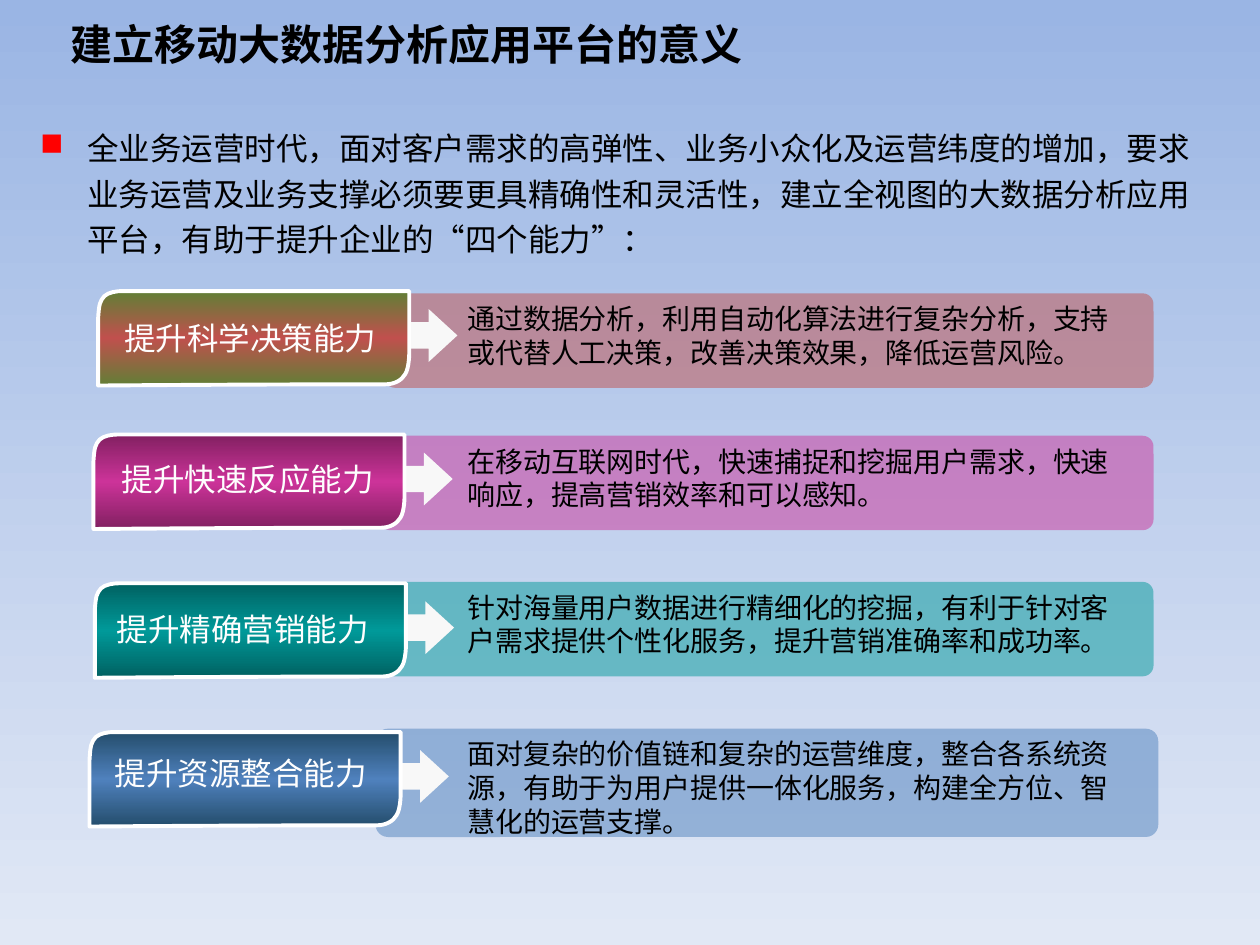
from copy import deepcopy

from lxml import etree
from pptx import Presentation
from pptx.dml.color import RGBColor
from pptx.enum.shapes import MSO_SHAPE as Shape
from pptx.enum.text import MSO_ANCHOR as Anchor, MSO_AUTO_SIZE as Auto, PP_ALIGN as Align
from pptx.oxml.ns import qn
from pptx.util import Pt

FONT = "Noto Sans CJK SC"
COLORS = {
    "sky": "9AB5E4", "mist": "E1E8F5", "black": "000000", "bullet": "FF0000",
    "label": "FEFEFE", "arrow": "F8F8F8", "edge": "FFFFFF",
    "red": "C0504D", "olive": "617F36", "pink": "CC3399", "plum": "822061",
    "teal": "009999", "pine": "006161", "blue": "4F81BD", "navy": "244D6C",
}
TITLE = "建立移动大数据分析应用平台的意义"
INTRO = ("全业务运营时代，面对客户需求的高弹性、业务小众化及运营纬度的增加，"
         "要求业务运营及业务支撑必须要更具精确性和灵活性，"
         "建立全视图的大数据分析应用平台，有助于提升企业的“四个能力”：")
# label, text, core and rim colour, panel box, tag corner, label box
ROWS = [
    ("提升科学决策能力",
     "通过数据分析，利用自动化算法进行复杂分析，支持或代替人工决策，改善决策效果，降低运营风险。",
     "red", "olive", (219.6, 167.6, 439.6, 54), (56.1, 166.3), (59.6, 178.6, 167, 28.8)),
    ("提升快速反应能力",
     "在移动互联网时代，快速捕捉和挖掘用户需求，快速响应，提高营销效率和可以感知。",
     "pink", "plum", (217, 249, 442.2, 54), (53.4, 248.3), (56.2, 259.2, 170.6, 28.8)),
    ("提升精确营销能力",
     "针对海量用户数据进行精细化的挖掘，有利于针对客户需求提供个性化服务，提升营销准确率和成功率。",
     "teal", "pine", (219.6, 332.5, 439.6, 54), (54.2, 333.3), (56.2, 344.9, 165, 28.8)),
    ("提升资源整合能力",
     "面对复杂的价值链和复杂的运营维度，整合各系统资源，有助于为用户提供一体化服务，构建全方位、智慧化的运营支撑。",
     "blue", "navy", (214.6, 416.4, 447.3, 61.9), (51.2, 418.3), (56.7, 427.3, 162, 28.8)),
]
# Tag outline: a line has an end point, a curve two control points before it
TAG_START = (13.7, 0)
TAG_STEPS = [
    [(177.8, 0)],
    [(177.8, 0), (177.8, 17.3), (177.8, 35.3)],
    [(177.8, 35.3), (177.8, 43.9), (175.5, 47.5)],
    [(173.5, 51.1), (169.2, 53.3), (164.2, 53.3)],
    [(81.4, 53.3), (0, 54), (0, 54)],
    [(0, 15.8)],
    [(0.5, 7.2), (1.1, 5.8), (3.6, 2.9)],
    [(5.8, 0.7), (10.8, 0), TAG_START],
]


def rgb(name):
    return RGBColor.from_string(COLORS[name])


def write(frame, text, size, color, align=Align.LEFT, bold=False):
    frame.text = text
    frame.word_wrap = True
    frame.vertical_anchor = Anchor.TOP
    para = frame.paragraphs[0]
    para.alignment = align
    font = para.runs[0].font
    font.size, font.bold, font.name = Pt(size), bold, FONT
    font.color.rgb = rgb(color)
    east = etree.SubElement(font._element, qn("a:ea"))
    east.set("typeface", FONT)
    return para


def add_text(slide, box, *args, **style):
    frame = slide.shapes.add_textbox(*map(Pt, box)).text_frame
    para = write(frame, *args, **style)
    frame.auto_size = Auto.SHAPE_TO_FIT_TEXT
    return para


def shade(fill, first, last):
    fill.gradient()
    fill.gradient_angle = 270
    for stop, name, place in zip(fill.gradient_stops, (first, last), (0, 1)):
        stop.color.rgb = rgb(name)
        stop.position = place


def add_shape(slide, kind, box, color):
    shape = slide.shapes.add_shape(kind, *map(Pt, box))
    shape.shadow.inherit = False
    shape.fill.solid()
    shape.fill.fore_color.rgb = rgb(color)
    shape.line.fill.background()
    return shape


def bend(shape, steps):
    """Turn the straight sides that have control points into curves."""
    sides = shape._element.spPr.findall(".//" + qn("a:lnTo"))
    for side, points in zip(sides, steps):
        if len(points) == 1:
            continue
        side.tag = qn("a:cubicBezTo")
        for i, (x, y) in enumerate(points[:2]):
            spot = etree.Element(qn("a:pt"), x=str(Pt(x)), y=str(Pt(y)))
            side.insert(i, spot)


def add_tag(slide, corner, core, rim):
    """Draw the leaf-shaped tag and the arrow that leaves it."""
    x, y = corner
    arrow = add_shape(slide, Shape.RIGHT_ARROW, (x + 177.3, y + 10.3, 28, 30.2), "arrow")
    arrow.adjustments[1] = 0.587

    def spot(point):
        return Pt(x + point[0]), Pt(y + point[1])

    pen = slide.shapes.build_freeform(*spot(TAG_START))
    pen.add_line_segments([spot(step[-1]) for step in TAG_STEPS])
    tag = pen.convert_to_shape()
    bend(tag, TAG_STEPS)
    tag.shadow.inherit = False
    shade(tag.fill, rim, core)
    tag.fill.gradient_stops[1].position = 0.5
    stops = tag._element.spPr.find(".//" + qn("a:gsLst"))
    stops.append(deepcopy(stops[0]))
    stops[2].set("pos", "100000")
    tag.line.color.rgb = rgb("edge")
    tag.line.width = Pt(2.25)


def add_row(slide, label, text, core, rim, panel, corner, label_box):
    back = add_shape(slide, Shape.ROUNDED_RECTANGLE, panel, core)
    back.adjustments[0] = 0.115
    tint = back._element.spPr.find(".//" + qn("a:srgbClr"))
    etree.SubElement(tint, qn("a:alpha")).set("val", "50000")
    add_tag(slide, corner, core, rim)
    add_text(slide, label_box, label, 18, "label", align=Align.CENTER)
    add_text(slide, (260, panel[1] + 1.2, 396, panel[3] - 8), text, 16, "black")


def add_title(slide, box):
    title = slide.shapes.title
    title.left, title.top, title.width, title.height = map(Pt, box)
    write(title.text_frame, TITLE, 24, "black", bold=True)


def add_intro(slide, box):
    para = add_text(slide, box, INTRO, 18, "black")
    para.line_spacing = 1.2
    props = para._p.get_or_add_pPr()
    props.set("marL", str(Pt(27)))
    props.set("indent", str(-Pt(27)))
    tint = etree.SubElement(props, qn("a:buClr"))
    etree.SubElement(tint, qn("a:srgbClr")).set("val", COLORS["bullet"])
    etree.SubElement(props, qn("a:buChar")).set("char", "■")


def main():
    deck = Presentation()
    deck.slide_width, deck.slide_height = Pt(720), Pt(540)
    slide = deck.slides.add_slide(deck.slide_layouts[5])
    shade(slide.background.fill, "sky", "mist")
    add_title(slide, (33, 7.2, 654.5, 41))
    add_intro(slide, (15.8, 66, 684.7, 85))
    for row in ROWS:
        add_row(slide, *row)
    deck.save("out.pptx")


if __name__ == "__main__":
    main()
